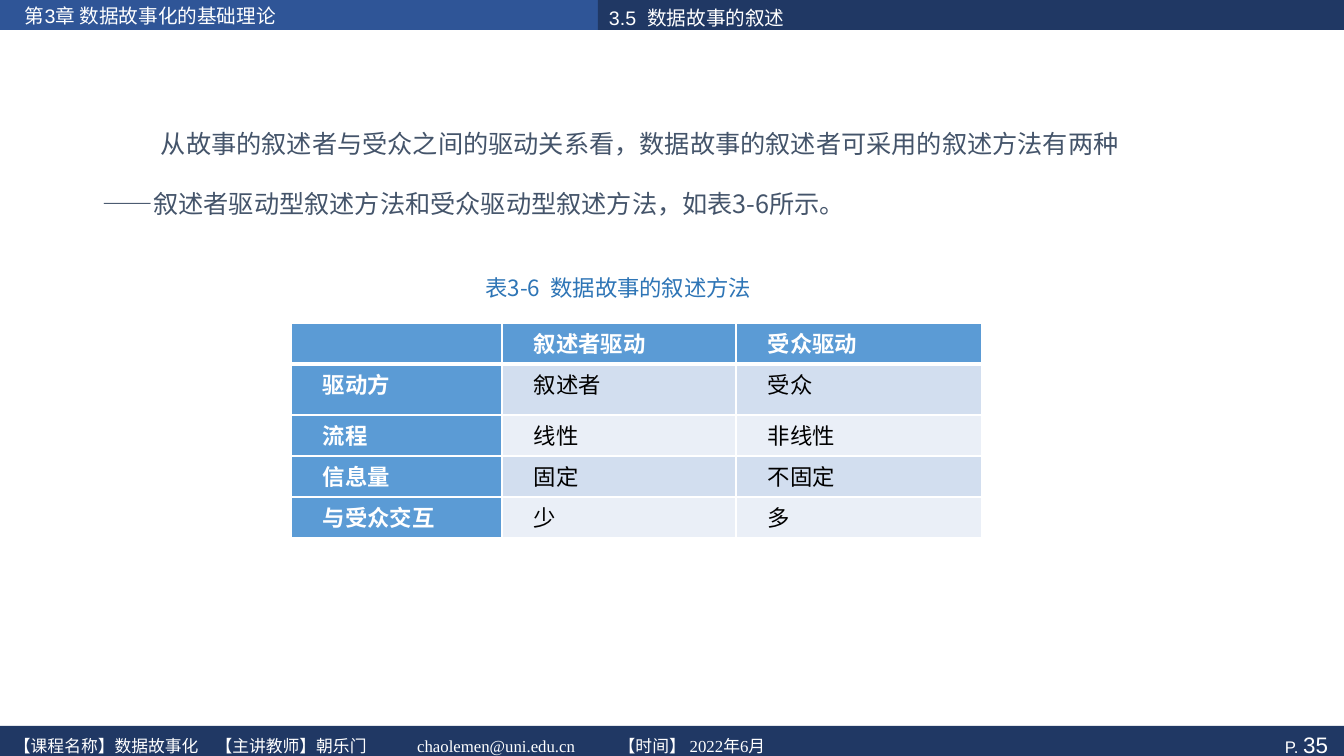
from pptx import Presentation
from pptx import util as u
from pptx.dml.color import RGBColor
from pptx.enum import shapes, text
from pptx.oxml.ns import qn
from lxml import etree

SCALE = 914400 / 100.8
COLORS = {
    "white": "FFFFFF", "black": "000000", "navy": "203864", "blue": "2F5597",
    "body": "44546A", "caption": "2E75B6", "header": "5B9BD5",
    "band_dark": "D2DEEF", "band_light": "EAEFF7",
}
CJK_FONT = "Noto Sans CJK SC"
TABLE_ROWS = [
    ["", "叙述者驱动", "受众驱动"],
    ["驱动方", "叙述者", "受众"],
    ["流程", "线性", "非线性"],
    ["信息量", "固定", "不固定"],
    ["与受众交互", "少", "多"],
]
COLUMN_WIDTHS = [211, 234, 246]
ROW_HEIGHTS = [41, 51, 41, 41, 41]


def px(length):
    return u.Emu(round(length * SCALE))


def color(name):
    return RGBColor.from_string(COLORS[name])


def set_attributes(target, values):
    for name, value in values.items():
        setattr(target, name, value)


def add_run(paragraph, content, size, font, color_name, bold=False):
    run = paragraph.add_run()
    run.text = content
    set_attributes(run.font, {"size": u.Pt(size), "name": font, "bold": bold})
    run.font.color.rgb = color(color_name)
    east_asian = etree.SubElement(run.font._element, qn("a:ea"))
    east_asian.set("typeface", CJK_FONT)


def indent_first_line(paragraph, length):
    properties = paragraph._p.get_or_add_pPr()
    properties.set("marL", "0")
    properties.set("indent", str(px(length)))


def add_tab_stops(paragraph, positions):
    tabs = etree.SubElement(paragraph._p.get_or_add_pPr(), qn("a:tabLst"))
    for position in positions:
        etree.SubElement(tabs, qn("a:tab"), pos=str(px(position)), algn="l")


def add_bar(slide, box, color_name):
    bar = slide.shapes.add_shape(shapes.MSO_SHAPE.RECTANGLE, *map(px, box))
    bar.shadow.inherit = False
    bar.fill.solid()
    bar.fill.fore_color.rgb = color(color_name)
    bar.line.fill.background()
    return bar


def add_text(slide, box, content, size, font, color_name, indent=0, **layout):
    frame = slide.shapes.add_textbox(*map(px, box)).text_frame
    frame.word_wrap = True
    paragraph = frame.paragraphs[0]
    indent_first_line(paragraph, indent)
    set_attributes(paragraph, layout)
    add_run(paragraph, content, size, font, color_name)
    return paragraph


def add_borders(cell, bottom_width):
    widths = {"a:lnL": 1, "a:lnR": 1, "a:lnT": 1, "a:lnB": bottom_width}
    for tag, width in widths.items():
        line = etree.SubElement(cell._tc.get_or_add_tcPr(), qn(tag), w=str(u.Pt(width)))
        fill = etree.SubElement(line, qn("a:solidFill"))
        etree.SubElement(fill, qn("a:srgbClr"), val=COLORS["white"])


def fill_cell(cell, content, row, column):
    heading = row == 0 or column == 0
    band = "band_dark" if row % 2 else "band_light"
    set_attributes(cell, {"margin_left": px(7), "margin_right": px(7),
                          "margin_top": 0, "margin_bottom": 0})
    add_borders(cell, 3 if row == 0 else 1)
    cell.fill.solid()
    cell.fill.fore_color.rgb = color("header" if heading else band)
    if content:
        paragraph = cell.text_frame.paragraphs[0]
        paragraph.line_spacing = 1.1
        indent_first_line(paragraph, 25)
        add_run(paragraph, content, 16, "Arial", "white" if heading else "black", heading)


def add_method_table(slide, left, top):
    box = (left, top, sum(COLUMN_WIDTHS), sum(ROW_HEIGHTS))
    table = slide.shapes.add_table(len(ROW_HEIGHTS), len(COLUMN_WIDTHS), *map(px, box)).table
    for column, width in zip(table.columns, COLUMN_WIDTHS):
        column.width = px(width)
    for row, height in zip(table.rows, ROW_HEIGHTS):
        row.height = px(height)
    for row, contents in enumerate(TABLE_ROWS):
        for column, content in enumerate(contents):
            fill_cell(table.cell(row, column), content, row, column)


def add_page_number(bar):
    set_attributes(bar.text_frame, {"margin_right": px(16),
                                    "vertical_anchor": text.MSO_ANCHOR.MIDDLE})
    paragraph = bar.text_frame.paragraphs[0]
    paragraph.alignment = text.PP_ALIGN.RIGHT
    add_run(paragraph, "P. ", 12, "Arial", "white")
    add_run(paragraph, "35", 16, "Arial", "white")


def main():
    presentation = Presentation()
    set_attributes(presentation, {"slide_width": px(1344), "slide_height": px(756)})
    slide = presentation.slides.add_slide(presentation.slide_layouts[6])

    # Header and footer bars
    add_bar(slide, (0, 0, 598, 30), "blue")
    add_page_number(add_bar(slide, (0, 726, 1344, 37), "navy"))
    add_bar(slide, (598, 0, 746, 30), "navy")

    # Header and footer text
    footer = add_text(
        slide, (4, 731, 1182, 31),
        "【课程名称】数据故事化\t【主讲教师】朝乐门\tchaolemen@uni.edu.cn\t【时间】 2022年6月",
        12, "Times New Roman", "white", space_before=u.Pt(2.4))
    add_tab_stops(footer, [360, 569, 878])
    add_text(slide, (15, -1, 420, 34), "第3章 数据故事化的基础理论", 14, "Arial", "white")
    add_text(slide, (599, 1, 293, 34), "3.5  数据故事的叙述", 14, "Arial", "white")

    # Body paragraph and table caption
    add_text(
        slide, (93, 93, 1055, 132),
        "从故事的叙述者与受众之间的驱动关系看，数据故事的叙述者可采用的叙述方法有两种"
        "——叙述者驱动型叙述方法和受众驱动型叙述方法，如表3-6所示。",
        18, CJK_FONT, "body", indent=58, line_spacing=2.0)
    add_text(slide, (267, 267, 674, 40), "表3-6  数据故事的叙述方法", 16, CJK_FONT, "caption",
             indent=29, line_spacing=1.1, alignment=text.PP_ALIGN.CENTER)

    # Narration methods
    add_method_table(slide, 291, 323)
    presentation.save("out.pptx")


main()
